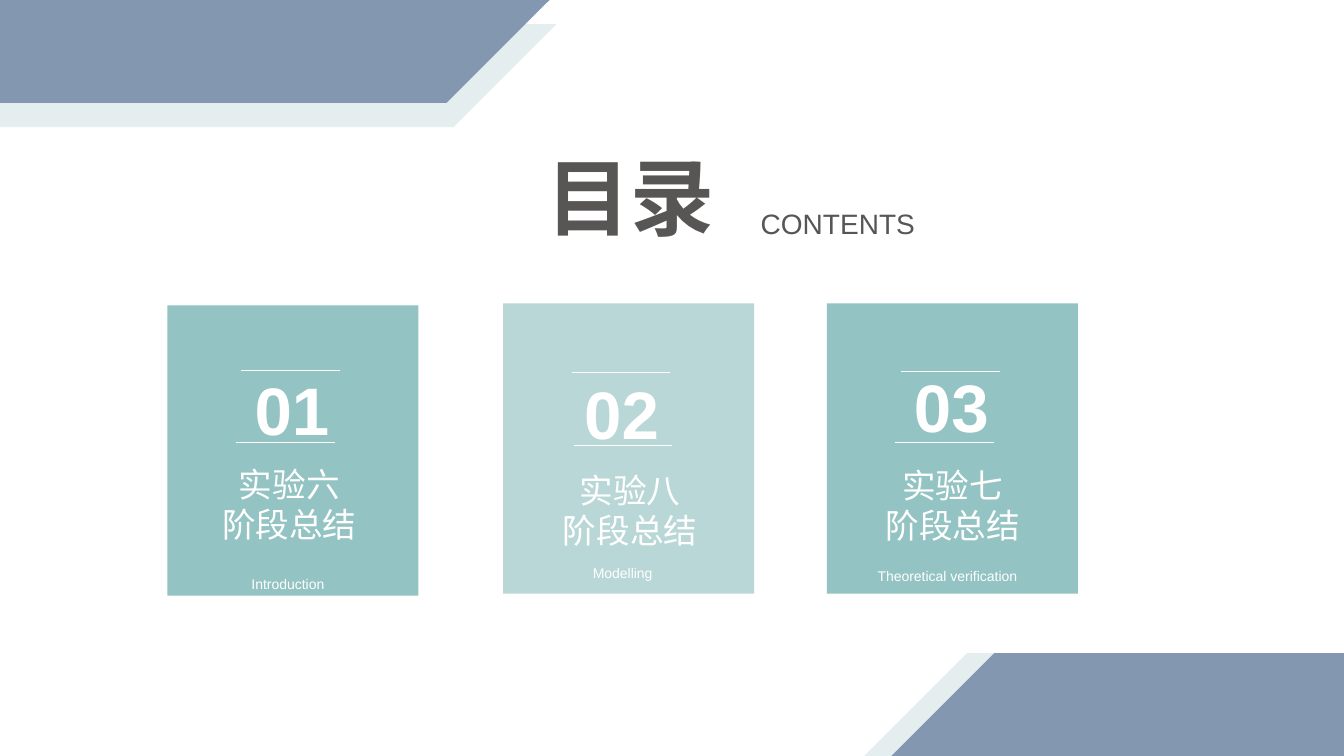
"""Build a contents slide with three numbered cards."""
from pptx import Presentation
from pptx.dml.color import RGBColor
from pptx.enum.shapes import MSO_CONNECTOR, MSO_SHAPE
from pptx.enum.text import MSO_ANCHOR, MSO_AUTO_SIZE, PP_ALIGN
from pptx.oxml.ns import qn
from pptx.util import Inches, Pt

COLORS = {
    "blue": "8497B0",
    "pale": "E4EEEF",
    "teal": "93C3C2",
    "mint": "BAD7D7",
    "gray": "585555",
    "white": "FFFFFF",
}


def add_block(kind, box, color):
    block = slide.shapes.add_shape(kind, *map(Inches, box))
    block.shadow.inherit = False
    block.fill.solid()
    block.fill.fore_color.rgb = RGBColor.from_string(COLORS[color])
    block.line.fill.background()
    return block


def set_text(shape, box, text, size, color, bold=False, spacing=None):
    shape.left, shape.top, shape.width, shape.height = map(Inches, box)
    frame = shape.text_frame
    frame.text = text
    frame.word_wrap = True
    frame.auto_size = MSO_AUTO_SIZE.NONE
    frame.vertical_anchor = MSO_ANCHOR.TOP
    for line in frame.paragraphs:
        line.alignment = PP_ALIGN.CENTER
        if spacing:
            line.line_spacing = spacing
        line.font.name = "Arial"
        line.font.size = Pt(size)
        line.font.bold = bold
        line.font.color.rgb = RGBColor.from_string(COLORS[color])


deck = Presentation()
deck.slide_width, deck.slide_height = Inches(13.33), Inches(7.5)
slide = deck.slides.add_slide(deck.slide_layouts[5])

bands = [
    (-1.89, 0.24, "pale"),
    (-1.96, 0, "blue"),
    (8.57, 6.48, "pale"),
    (8.84, 6.48, "blue"),
]
for left, top, color in bands:
    band = add_block(MSO_SHAPE.PARALLELOGRAM, (left, top, 7.41, 1.02), color)
    band.adjustments[0] = 1

set_text(slide.shapes.title, (5.12, 1.39, 2.26, 1.11), "目录", 60, "gray", bold=True)
label = slide.shapes.add_textbox(0, 0, 0, 0)
set_text(label, (7.18, 2, 2.26, 0.44), "CONTENTS", 20, "gray")

cards = [
    (1.66, 3.03, "teal", [
        ("Introduction", (1.63, 5.58, 2.45, 0.32)),
        ("实验六\n阶段总结", (1.99, 4.55, 1.76, 0.91)),
        ("01", (2.34, 3.6, 1.11, 0.91)),
    ], [(2.39, 3.67), (2.34, 4.39)]),
    (4.99, 3.01, "mint", [
        ("Modelling", (4.95, 5.47, 2.45, 0.32)),
        ("实验八\n阶段总结", (5.2, 4.61, 2.1, 0.91)),
        ("02", (5.61, 3.64, 1.11, 0.91)),
    ], [(5.67, 3.69), (5.69, 4.42)]),
    (8.2, 3.01, "teal", [
        ("Theoretical verification", (8.17, 5.5, 2.45, 0.32)),
        ("实验七\n阶段总结", (8.17, 4.56, 2.56, 0.91)),
        ("03", (8.88, 3.57, 1.11, 0.91)),
    ], [(8.94, 3.68), (8.88, 4.39)]),
]
styles = [(10, False, 1.5), (24, False, None), (48, True, None)]

for left, top, color, texts, rules in cards:
    add_block(MSO_SHAPE.RECTANGLE, (left, top, 2.49, 2.88), color)
    for (text, box), (size, bold, spacing) in zip(texts, styles):
        label = slide.shapes.add_textbox(0, 0, 0, 0)
        set_text(label, box, text, size, "white", bold, spacing)
    for x, y in rules:
        ends = map(Inches, (x, y, x + 0.98, y))
        rule = slide.shapes.add_connector(MSO_CONNECTOR.STRAIGHT, *ends)
        rule.line.color.rgb = RGBColor.from_string(COLORS["white"])
        rule.line.width = Pt(0.5)
        props = rule._element.spPr
        props.append(props.makeelement(qn("a:effectLst"), {}))

deck.save("out.pptx")
